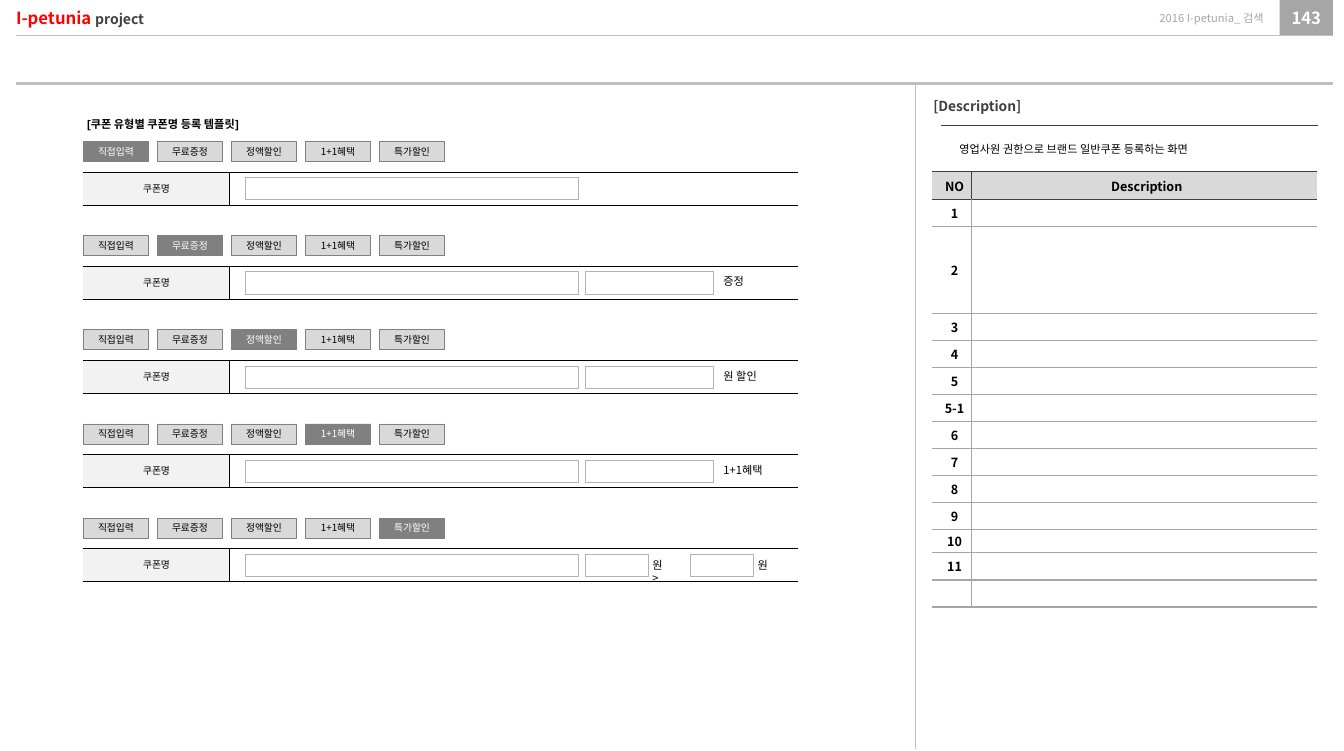
"""Builds the coupon name template screen with its description panel."""
from lxml.etree import SubElement
from pptx import Presentation
from pptx.dml.color import RGBColor
from pptx.enum.shapes import MSO_CONNECTOR, MSO_SHAPE
from pptx.enum.text import MSO_ANCHOR, PP_ALIGN
from pptx.oxml.ns import qn
from pptx.util import Inches, Pt

SANS = "Noto Sans CJK KR"
BLACK, WHITE, DARK, GRAY, MID, LIGHT = "000000", "FFFFFF", "404040", "808080", "A6A6A6", "D9D9D9"
LEFT, COL = 0.83, 0.7375
TOP, ROW = 1.71, 0.9375
PANEL = 9.29
HEAD = 0.35
rgb = RGBColor.from_string

prs = Presentation()
prs.slide_width, prs.slide_height = Inches(13.39), Inches(7.48)
s = prs.slides.add_slide(prs.slide_layouts[6])


def write(tf, text, size, color=BLACK, bold=False, align=PP_ALIGN.LEFT, font=SANS):
    p = tf.paragraphs[0]
    p.alignment = align
    if not text:
        SubElement(p._p, qn("a:endParaRPr"), sz=str(size * 100))
        return
    r = p.add_run()
    r.text = text
    r.font.size, r.font.bold, r.font.name = Pt(size), bold, font
    r.font.color.rgb = rgb(color)
    SubElement(r._r.get_or_add_rPr(), qn("a:ea"), typeface=SANS)


def box(x, y, w, h, fill=None, line=None, inset=None):
    place = [Inches(v) for v in (x, y, w, h)]
    if fill:
        sp = s.shapes.add_shape(MSO_SHAPE.RECTANGLE, *place)
        sp.shadow.inherit = False
        sp.fill.solid()
        sp.fill.fore_color.rgb = rgb(fill)
        if line:
            sp.line.color.rgb = rgb(line)
            sp.line.width = Pt(0.5)
        else:
            sp.line.fill.background()
    else:
        sp = s.shapes.add_textbox(*place)
    tf = sp.text_frame
    tf.word_wrap = True
    if fill or inset is not None:
        tf.vertical_anchor = MSO_ANCHOR.MIDDLE
    if inset is not None:
        tf.margin_left = tf.margin_right = tf.margin_top = tf.margin_bottom = Inches(inset)
    return tf


write(box(12.75, 0, 0.53, HEAD, MID, inset=0), "143", 12, WHITE, True, PP_ALIGN.CENTER)
write(box(10.32, 0, 2.27, HEAD, inset=0), "2016 I-petunia_ 검색", 8, MID, align=PP_ALIGN.RIGHT)
title = box(0.16, 0, 2.05, HEAD, inset=0)
write(title, "I-petunia ", 12, "FF0000", True)
write(title, "project", 10, DARK, True)

for x1, y1, x2, y2, color, width in [
    (0.16, 0.83, 13.28, 0.83, "BFBFBF", 2.25),
    (0.16, HEAD, 13.28, HEAD, "BFBFBF", 0.25),
    (9.12, 0.85, 9.12, 7.46, "BFBFBF", 0.75),
    (9.38, 1.25, 13.13, 1.25, DARK, 0.5),
]:
    c = s.shapes.add_connector(MSO_CONNECTOR.STRAIGHT, *[Inches(v) for v in (x1, y1, x2, y2)])
    c.line.color.rgb = rgb(color)
    c.line.width = Pt(width)
    SubElement(c._element.spPr, qn("a:effectLst"))

write(box(9.2, 0.92, 1.73, 0.27), "[Description]", 9.9, DARK, True)
write(box(9.46, 1.37, 3.2, 0.23), "영업사원 권한으로 브랜드 일반쿠폰 등록하는 화면", 8, font="Arial")
write(box(0.77, 1.12, 2.2, 0.23), "[쿠폰 유형별 쿠폰명 등록 템플릿]", 8, bold=True, font="Arial")

numbers = ["1", "2", "3", "4", "5", "5-1", "6", "7", "8", "9", "10", "11", ""]
heights = [0.86 if n == "2" else 0.23 if n == "10" else 0.27 for n in numbers]
tables = [(LEFT, TOP + i * ROW, [1.45, 5.67], [0.33], [["쿠폰명", ""]], 7, False, BLACK, 0.25)
          for i in range(5)]
tables.append((PANEL, TOP, [0.39, 3.44], [0.28] + heights,
               [["NO", "Description"]] + [[n, ""] for n in numbers], 9, True, MID, 1))

for x, y, cols, rows, texts, size, is_panel, edge, width in tables:
    t = s.shapes.add_table(len(rows), 2, Inches(x), Inches(y),
                           Inches(sum(cols)), Inches(sum(rows))).table
    t.first_row = t.horz_banding = False
    for column, w in zip(t.columns, cols):
        column.width = Inches(w)
    for i, h in enumerate(rows):
        t.rows[i].height = Inches(h)
        for j in range(2):
            cell = t.cell(i, j)
            cell.vertical_anchor = MSO_ANCHOR.MIDDLE
            cell.margin_left = Inches(0.05 if is_panel else 0.01)
            cell.margin_right = cell.margin_top = cell.margin_bottom = 0
            write(cell.text_frame, texts[i][j], size, bold=is_panel, align=PP_ALIGN.CENTER)
            header = is_panel and i == 0
            for side in "LRTB":
                ln = SubElement(cell._tc.get_or_add_tcPr(), qn("a:ln" + side), w=str(Pt(width)))
                if side == "LR"[j]:
                    SubElement(ln, qn("a:noFill"))
                    continue
                dark = header or (is_panel and i == 1 and side == "T")
                SubElement(SubElement(ln, qn("a:solidFill")), qn("a:srgbClr"),
                           val=DARK if dark else edge)
            if is_panel and not header:
                cell.fill.background()
            else:
                cell.fill.solid()
                cell.fill.fore_color.rgb = rgb(LIGHT if header else WHITE if j else "F2F2F2")

kinds = ["직접입력", "무료증정", "정액할인", "1+1혜택", "특가할인"]
units = ["", "증정", "원 할인", "1+1혜택", ""]
for i, unit in enumerate(units):
    y = TOP + i * ROW
    for j, kind in enumerate(kinds):
        chosen = i == j
        write(box(LEFT + j * COL, y - 0.3, 0.65, 0.2, GRAY if chosen else LIGHT, GRAY),
              kind, 7, WHITE if chosen else BLACK, align=PP_ALIGN.CENTER)
    fields = [(2.44, 3.32)]
    if unit:
        fields.append((5.83, 1.28))
        write(box(7.11, y + 0.04, 0.8, 0.23), unit, 8)
    elif i:
        fields += [(5.83, 0.63), (6.88, 0.63)]
        write(box(6.4, y + 0.05, 0.38, 0.23), "원 >", 8)
        write(box(7.45, y + 0.05, 0.41, 0.23), "원", 8)
    for x, w in fields:
        box(x, y + 0.06, w, 0.22, WHITE, "B2B2B2")

prs.save("out.pptx")
